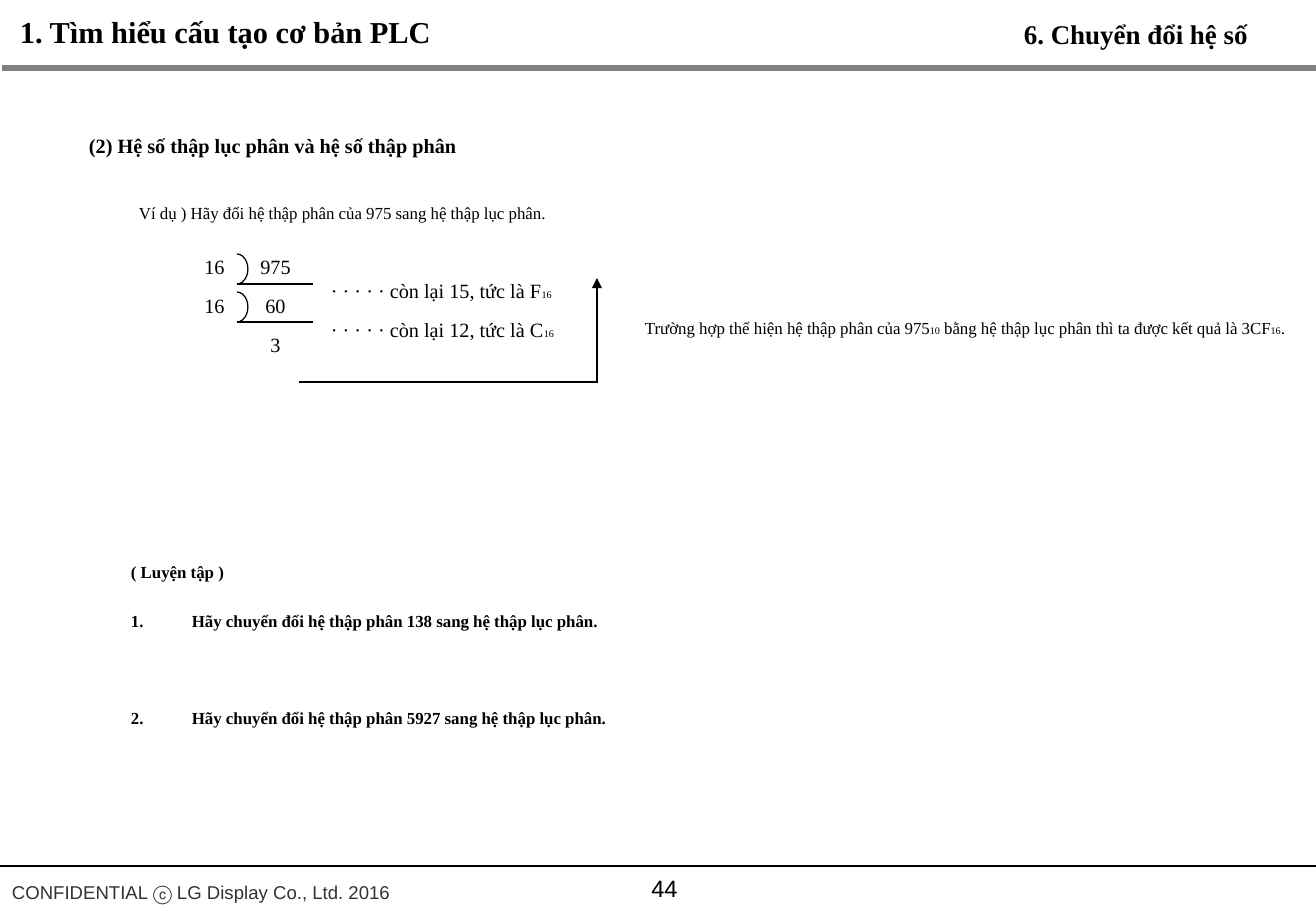
"""Builds the slide on converting decimal numbers to hexadecimal."""
from lxml import etree
from pptx import Presentation
from pptx.dml.color import RGBColor
from pptx.enum.shapes import MSO_CONNECTOR, MSO_SHAPE
from pptx.enum.text import MSO_ANCHOR, PP_ALIGN
from pptx.oxml.ns import qn
from pptx.util import Emu, Pt

SCALE = 7526
BLACK = RGBColor(0x00, 0x00, 0x00)
DARK = RGBColor(0x33, 0x33, 0x33)
GRAY = RGBColor(0x80, 0x80, 0x80)
SERIF = "Times New Roman"
SANS = "Arial"
STRAIGHT = MSO_CONNECTOR.STRAIGHT
ARC = MSO_SHAPE.ARC
CENTER = PP_ALIGN.CENTER
JUSTIFY = PP_ALIGN.JUSTIFY
TOP = MSO_ANCHOR.TOP
MIDDLE = MSO_ANCHOR.MIDDLE
STEP = 39
SUBSCRIPT = 6


def px(length):
    """Turn pixels into EMU."""
    return Emu(length * SCALE)


def add_box(page, left, top, width, height, wrap=False, anchor=TOP):
    """Add an empty text box and return its text frame."""
    box = page.shapes.add_textbox(px(left), px(top), px(width), px(height))
    frame = box.text_frame
    frame.word_wrap = wrap
    frame.vertical_anchor = anchor
    return frame


def add_para(frame, first, spans, bold=False, color=BLACK, font=SERIF,
             align=None, spacing=None):
    """Write (text, size) spans into the first or a new paragraph."""
    para = frame.paragraphs[0] if first else frame.add_paragraph()
    if align is not None:
        para.alignment = align
    if spacing is not None:
        para.line_spacing = spacing
    for text, size in spans:
        span = para.add_run()
        span.text = text
        span.font.name = font
        span.font.size = Pt(size)
        span.font.bold = bold
        span.font.color.rgb = color
    return para


def add_label(page, place, spans, anchor=TOP, wrap=False, **style):
    """Add a text box that holds one paragraph."""
    add_para(add_box(page, *place, wrap=wrap, anchor=anchor), True, spans, **style)


def add_column(page, place, rows, align=None):
    """Add one column of the long division, one paragraph a row."""
    frame = add_box(page, *place)
    for index, spans in enumerate(rows):
        add_para(frame, index == 0, spans, align=align, spacing=px(STEP))


def add_line(page, start, end, width, color=BLACK, arrow=False):
    """Add a straight line, with an arrowhead at its end if asked."""
    line = page.shapes.add_connector(STRAIGHT, *map(px, start + end))
    line.line.color.rgb = color
    line.line.width = Pt(width)
    props = line._element.spPr
    if arrow:
        etree.SubElement(props.find(qn("a:ln")), qn("a:tailEnd"), type="triangle")
    etree.SubElement(props, qn("a:effectLst"))


def add_division_sign(page, top):
    """Add the arc and the bar of one division step."""
    bottom = top + 30
    add_line(page, (237, bottom), (313, bottom), 0.75)
    arc = page.shapes.add_shape(ARC, px(226), px(top), px(22), px(30))
    arc.adjustments[0] = 162
    arc.adjustments[1] = 54
    arc.shadow.inherit = False
    arc.fill.background()
    arc.line.color.rgb = BLACK
    arc.line.width = Pt(0.75)


def add_exercise(frame, number, before, text):
    """Add a numbered exercise with a hanging indent."""
    para = add_para(frame, False, [(text, 10)], bold=True, align=JUSTIFY,
                    spacing=px(24))
    para.space_before = px(before)
    props = para._p.get_or_add_pPr()
    props.set("marL", str(px(61)))
    props.set("indent", str(px(-61)))
    etree.SubElement(props, qn("a:buFont"), typeface="+mj-lt")
    etree.SubElement(props, qn("a:buAutoNum"), type="arabicPeriod",
                     startAt=str(number))


def add_page_frame(page):
    """Add the headings, the rules and the footer."""
    add_line(page, (2, 68), (1316, 68), 3, GRAY)
    add_line(page, (0, 866), (1316, 866), 0.75)
    add_label(page, (0, 871, 406, 37),
              [("CONFIDENTIAL ⓒ LG Display Co., Ltd. 2016", 11)],
              color=DARK, font=SANS, spacing=1.2)
    add_label(page, (538, 858, 253, 60), [("44", 14)], MIDDLE, True,
              font=SANS, align=CENTER)
    add_label(page, (8, 7, 440, 49), [("1. Tìm hiểu cấu tạo cơ bản PLC", 18)],
              bold=True)
    add_label(page, (1012, 12, 251, 45), [("6. Chuyển đổi hệ số", 16)], bold=True)


def add_example(page):
    """Add the worked division of 975 by 16."""
    add_label(page, (77, 125, 1163, 40),
              [("(2) Hệ số thập lục phân và hệ số thập phân", 12)],
              wrap=True, bold=True, spacing=1.1)
    add_label(page, (127, 197, 437, 33),
              [("Ví dụ ) Hãy đổi hệ thập phân của 975 sang hệ thập lục phân.", 10)])
    for top in (254, 292):
        add_division_sign(page, top)
    add_column(page, (192, 234, 45, 130), [[("16", 12)]] * 2, CENTER)
    add_column(page, (248, 234, 55, 169),
               [[(value, 12)] for value in ("975", "60", "3")], CENTER)
    add_column(page, (319, 258, 256, 90),
               [[(f"· · · · · còn lại {rest}, tức là {digit}", 12), ("16", SUBSCRIPT)]
                for rest, digit in ((15, "F"), (12, "C"))])
    add_line(page, (299, 382), (597, 382), 1.5)
    add_line(page, (597, 383), (597, 278), 1.5, arrow=True)
    add_label(page, (633, 312, 670, 33),
              [("Trường hợp thể hiện hệ thập phân của 975", 10), ("10", SUBSCRIPT),
               (" bằng hệ thập lục phân thì ta được kết quả là 3CF", 10),
               ("16", SUBSCRIPT), (".", 10)])


def add_practice(page):
    """Add the practice heading and its exercises."""
    frame = add_box(page, 119, 556, 936, 243, wrap=True)
    add_para(frame, True, [("( Luyện tập )", 10)], bold=True, align=JUSTIFY)
    for number, before, value in ((1, 25, 138), (2, 73, 5927)):
        add_exercise(frame, number, before,
                     f"Hãy chuyển đổi hệ thập phân {value} sang hệ thập lục phân.")


def main():
    """Build the deck and save it."""
    deck = Presentation()
    deck.slide_width = px(1316)
    deck.slide_height = px(911)
    page = deck.slides.add_slide(deck.slide_layouts[6])
    add_page_frame(page)
    add_example(page)
    add_practice(page)
    deck.save("out.pptx")


if __name__ == "__main__":
    main()
